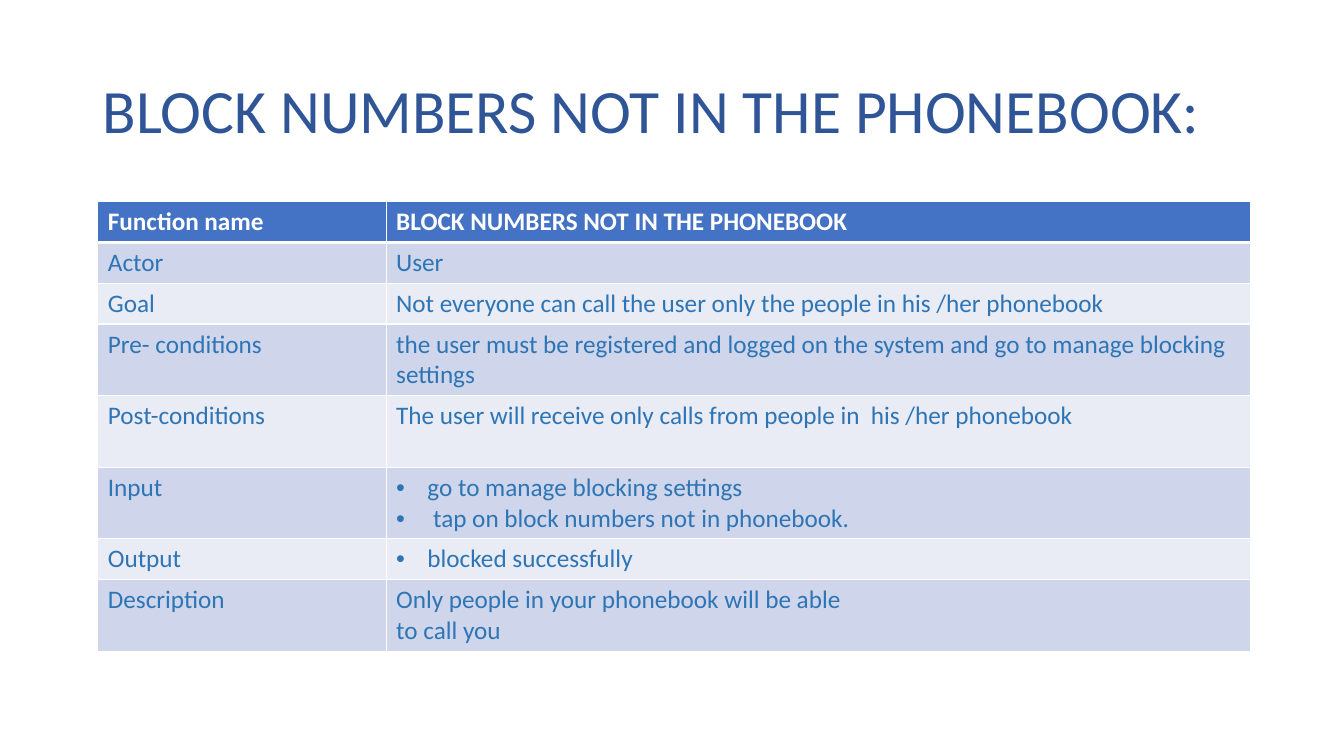
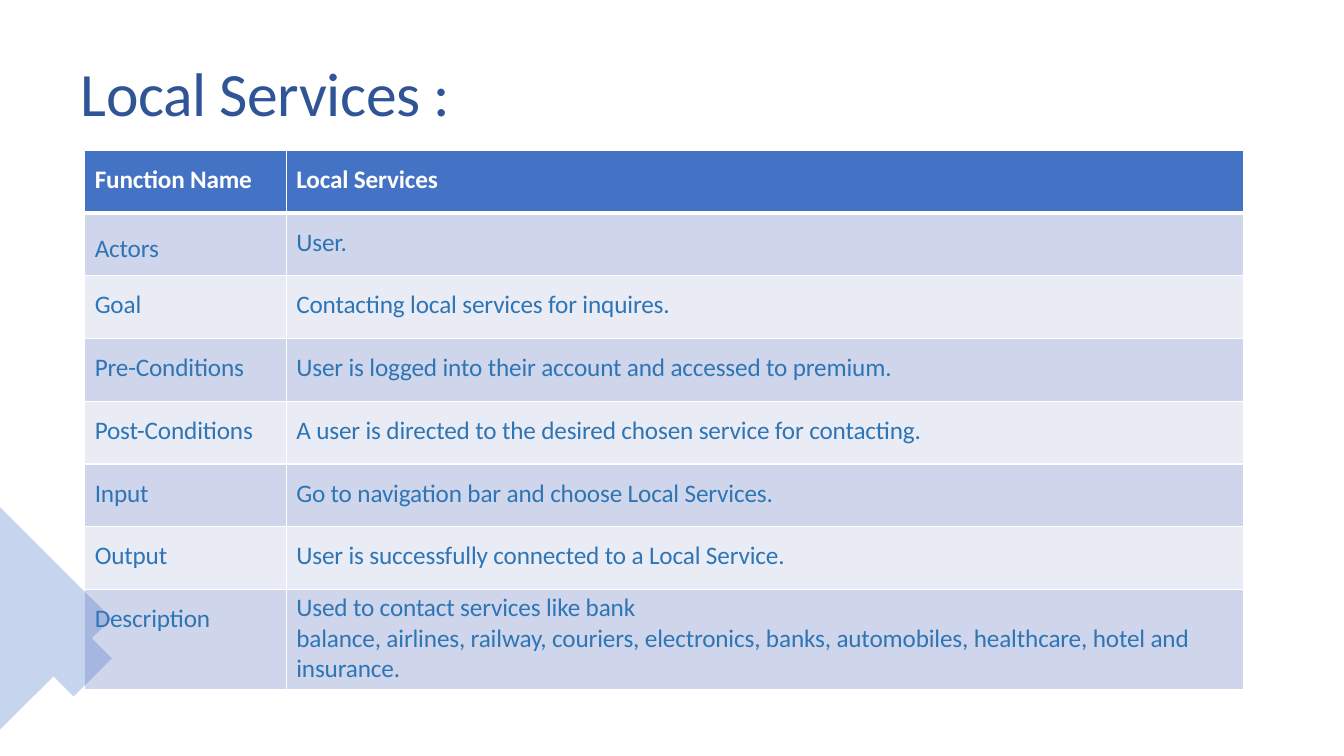
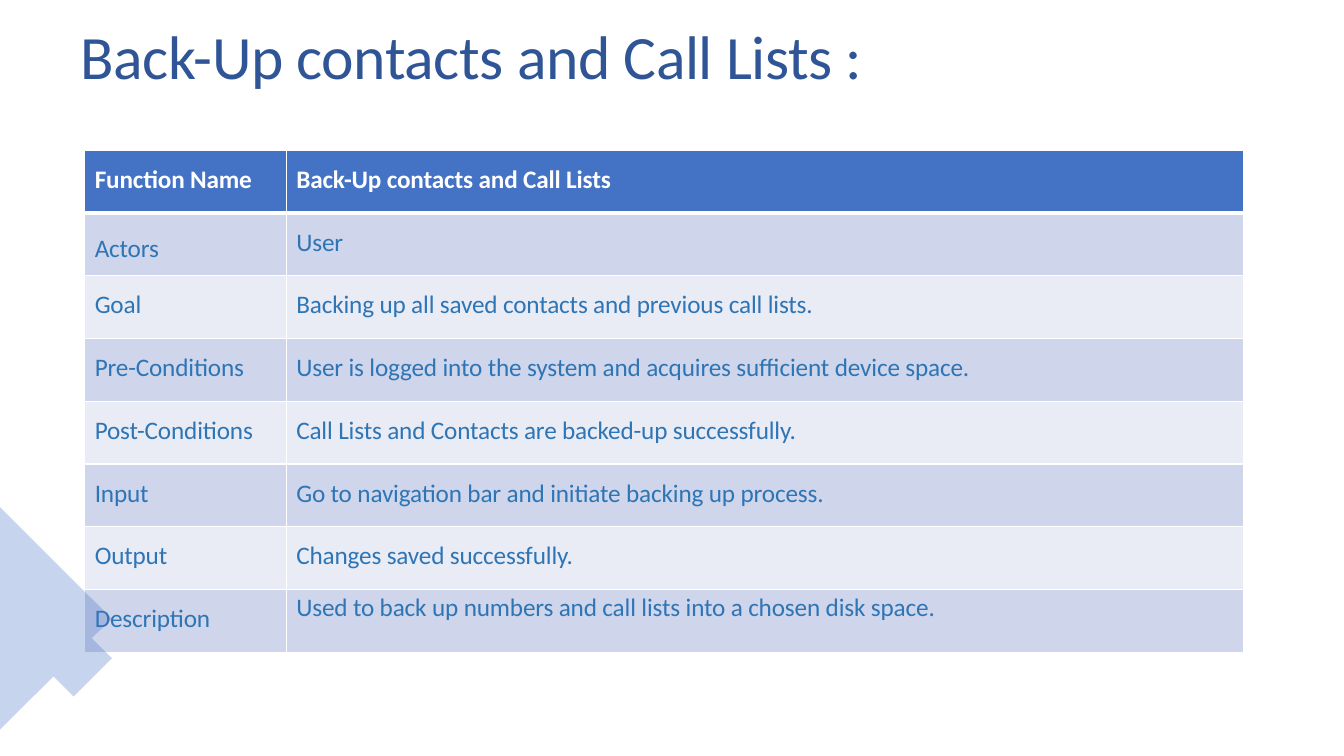
from lxml import etree
from pptx import Presentation
from pptx import util as u
from pptx.dml.color import RGBColor
from pptx.enum import text
from pptx.oxml.ns import qn

WIDE, HIGH = u.Inches(13.33), u.Inches(7.5)
FONT = "Calibri"
NAVY, BLUE, INK = "2F5597", "4472C4", "2E75B6"
DARK, PALE, WHITE = "CFD5EA", "E9EBF5", "FFFFFF"
ARROW = [(8.33, 81.87), (0, 67.07), (0, 96.53), (3.98, 89.47),
         (5.48, 92.13), (8.33, 87.07), (6.83, 84.4)]
LABELS = ["Function Name", "Actors", "Goal", "Pre-Conditions",
          "Post-Conditions", "Input", "Output", "Description"]
TOPS = {(1, 0): 0.2, (7, 1): 0.03}

BLOCK = [
    ("Function name", "BLOCK NUMBERS NOT IN THE PHONEBOOK"),
    ("Actor", "User"),
    ("Goal", "Not everyone can call the user only the people in his /her phonebook"),
    ("Pre- conditions", "the user must be registered and logged on the system "
     "and go to manage blocking settings"),
    ("Post-conditions", "The user will receive only calls from people in  his /her phonebook"),
    ("Input", ["go to manage blocking settings", " tap on block numbers not in phonebook."]),
    ("Output", ["blocked successfully"]),
    ("Description", "Only people in your phonebook will be able\nto call you"),
]
LOCAL = [
    "Local Services",
    "User.",
    "Contacting local services for inquires.",
    "User is logged into their account and accessed to premium.",
    "A user is directed to the desired chosen service for contacting.",
    "Go to navigation bar and choose Local Services.",
    "User is successfully connected to a Local Service.",
    "Used to contact services like bank\nbalance, airlines, railway, couriers, "
    "electronics, banks, automobiles, healthcare, hotel and insurance.",
]
BACKUP = [
    "Back-Up contacts and Call Lists",
    "User",
    "Backing up all saved contacts and previous call lists.",
    "User is logged into the system and acquires sufficient device space.",
    "Call Lists and Contacts are backed-up successfully.",
    "Go to navigation bar and initiate backing up process.",
    "Changes saved successfully.",
    "Used to back up numbers and call lists into a chosen disk space.",
]


def color(code):
    return RGBColor.from_string(code)


def across(share):
    return round(WIDE * share / 100)


def down(share):
    return round(HIGH * share / 100)


def style(frame, size, code, bold=False, track=0):
    for para in frame.paragraphs:
        for run in para.runs:
            font = run.font
            font.name, font.size, font.bold = FONT, u.Pt(size), bold
            font.color.rgb = color(code)
            if track:
                run._r.get_or_add_rPr().set("spc", str(round(track * 100)))


def bullet(para):
    props = para._p.get_or_add_pPr()
    indent = u.Inches(0.31)
    props.set("marL", str(indent))
    props.set("indent", str(-indent))
    etree.SubElement(props, qn("a:buFont")).set("typeface", "Arial")
    etree.SubElement(props, qn("a:buChar")).set("char", "•")


def border(cell, side, width):
    props = cell._tc.get_or_add_tcPr()
    line = etree.SubElement(props, qn("a:ln" + side), w=str(u.Pt(width)))
    fill = etree.SubElement(line, qn("a:solidFill"))
    etree.SubElement(fill, qn("a:srgbClr"), val=WHITE)


def title(slide, words, left, top, width, height, track=0, lead=None):
    box = slide.shapes.add_textbox(across(left), down(top), across(width), down(height))
    frame = box.text_frame
    frame.word_wrap = True
    frame.vertical_anchor = text.MSO_ANCHOR.MIDDLE
    frame.margin_left = frame.margin_right = 0
    frame.margin_top = frame.margin_bottom = 0
    frame.text = words
    frame.paragraphs[0].line_spacing = lead
    style(frame, 44, NAVY, track=track)


def fill_cell(cell, row, words, track):
    for side in "LRTB":
        thick = (row, side) in ((0, "B"), (1, "T"))
        border(cell, side, 3 if thick else 1)
    cell.fill.solid()
    cell.fill.fore_color.rgb = color(BLUE if row == 0 else DARK if row % 2 else PALE)
    frame = cell.text_frame
    if isinstance(words, list):
        frame.text = "\n".join(words)
        for para in frame.paragraphs:
            bullet(para)
    else:
        frame.text = words
    style(frame, 18, INK if row else WHITE, bold=row == 0, track=track)


def grid(slide, left, top, cols, rows, data, track=0, inset=0.05, tops={}):
    table = slide.shapes.add_table(
        len(rows), len(cols), across(left), down(top),
        across(sum(cols)), down(sum(rows))).table
    for col, width in zip(table.columns, cols):
        col.width = across(width)
    for row, height in enumerate(rows):
        table.rows[row].height = down(height)
        for col, words in enumerate(data[row]):
            cell = table.cell(row, col)
            cell.margin_top = u.Inches(tops.get((row, col), inset))
            fill_cell(cell, row, words, track)


def arrow(slide):
    points = [(across(x), down(y)) for x, y in ARROW]
    path = slide.shapes.build_freeform(*points[0])
    path.add_line_segments(points[1:], close=True)
    shape = path.convert_to_shape()
    shape.shadow.inherit = False
    shape.line.fill.background()
    shape.fill.solid()
    shape.fill.fore_color.rgb = color(BLUE)
    tint = shape._element.spPr.find(".//" + qn("a:srgbClr"))
    etree.SubElement(tint, qn("a:alpha"), val="30000")


def service(slide, name, top, width, values, last):
    title(slide, name, 6, top, width, 10, track=-0.3)
    grid(slide, 6.3, 19.87, [15, 71.2], [8.3] * 7 + [last],
         list(zip(LABELS, values)), track=-0.1, inset=0.14, tops=TOPS)
    arrow(slide)


def main():
    deck = Presentation()
    deck.slide_width, deck.slide_height = WIDE, HIGH
    first, second, third = [deck.slides.add_slide(deck.slide_layouts[6]) for _ in range(3)]
    title(first, "BLOCK NUMBERS NOT IN THE PHONEBOOK:", 7.65, 6, 84.75, 18, lead=0.9)
    short, tall = 5.4, 9.47
    grid(first, 7.28, 26.67, [21.45, 64.35],
         [short] * 3 + [tall] * 3 + [short, tall], BLOCK)
    service(second, "Local Services :", 7.13, 36.5, LOCAL, 13.2)
    service(third, "Back-Up contacts and Call Lists :", 2.27, 61.5, BACKUP, 8.3)
    deck.save("out.pptx")


if __name__ == "__main__":
    main()
